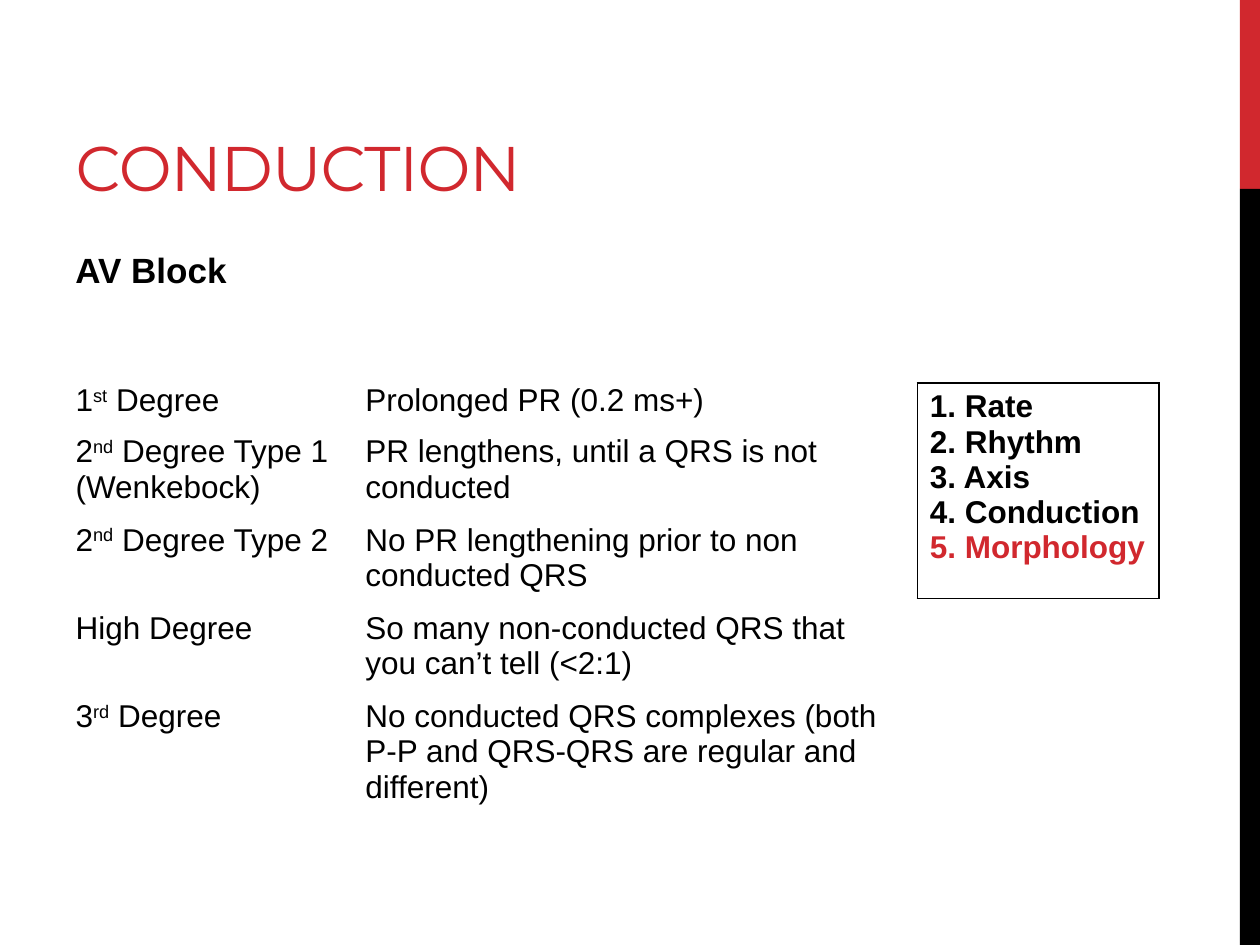
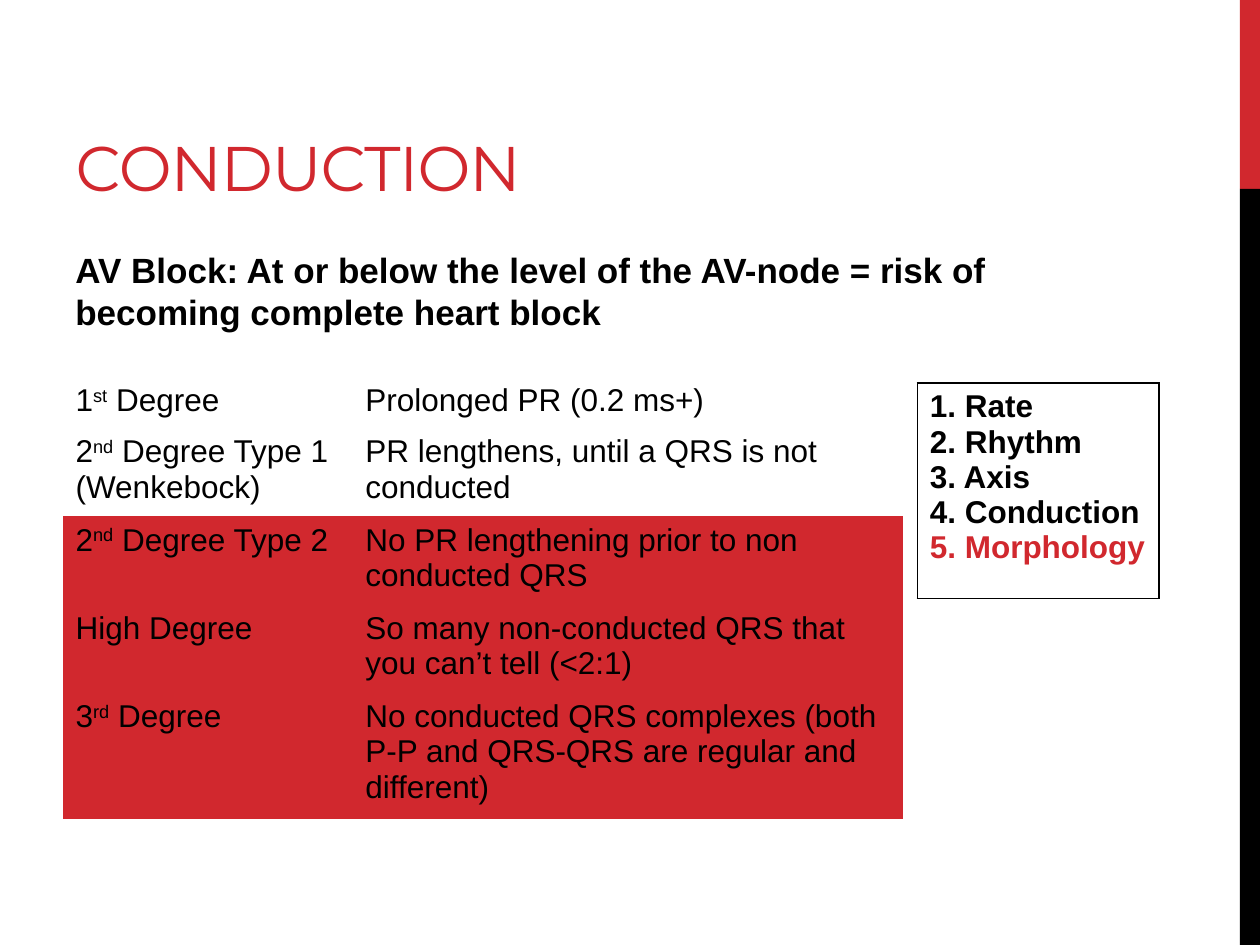
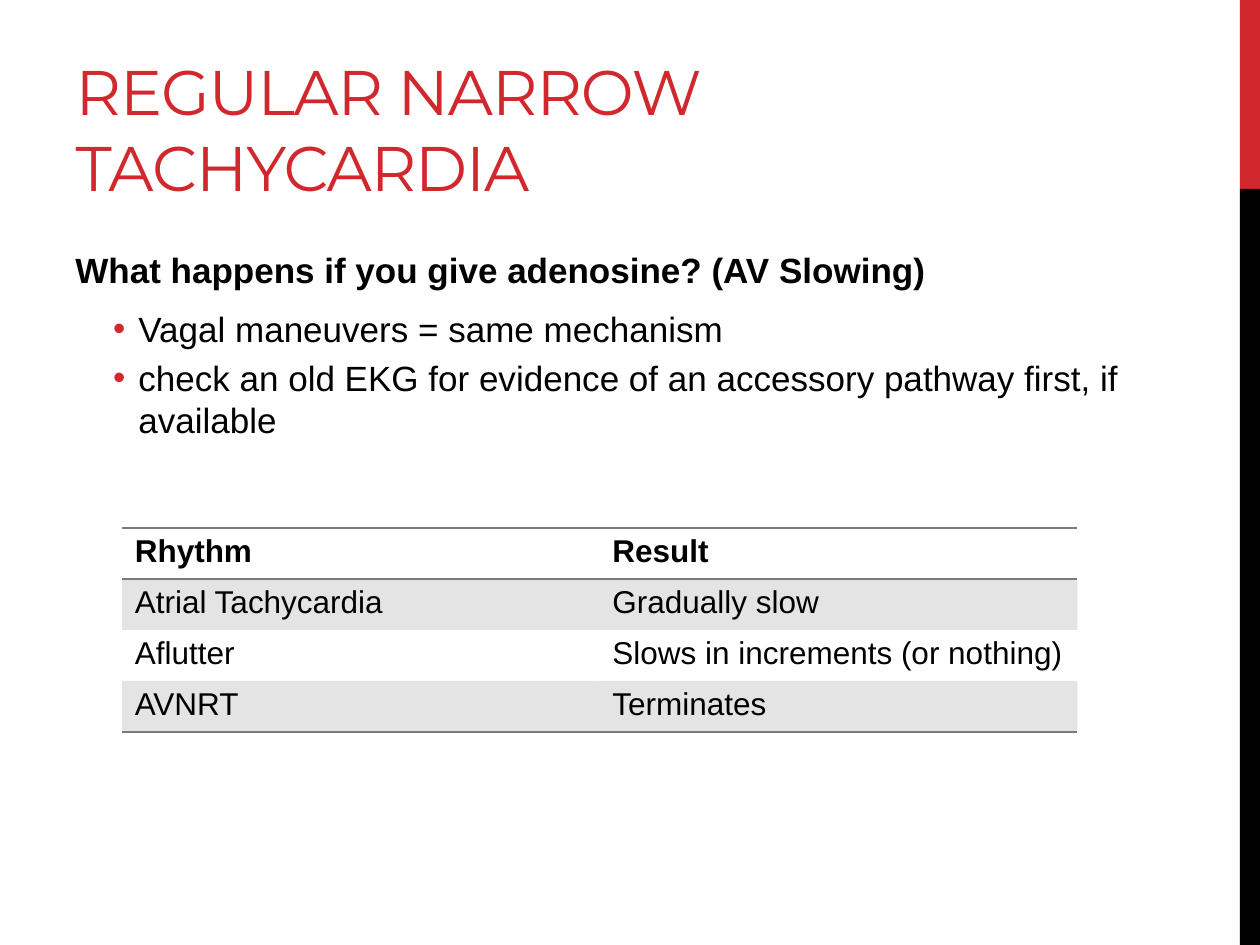
import pptx
import pptx.dml.color
import pptx.enum.shapes
import pptx.enum.text
import pptx.oxml.ns
import pptx.util
from lxml import etree

HUES = {"red": "D1282E", "black": "000000", "gray": "7A7A7A"}
WIDE, HIGH = pptx.util.Inches(10), pptx.util.Inches(7.5)
COL, ROW = WIDE / 100, HIGH / 100
PLAIN = "{2D5ABB26-0587-4C30-8999-92F81FD0307C}"
TITLE = (5, 2.27, 63.3, 20)
BANDS = [("red", (98.4, 0, 1.6, 20)), ("black", (98.4, 20, 1.6, 80))]
STEPS = ["1. Rate", "2. Rhythm", "3. Axis", "4. Conduction", "5. Morphology"]
BLOCKS = [
    ("1^st^ Degree", "Prolonged PR (0.2 ms+)"),
    ("2^nd^ Degree Type 1 (Wenkebock)", "PR lengthens, until a QRS is not conducted"),
    ("2^nd^ Degree Type 2", "No PR lengthening prior to non conducted QRS"),
    ("High Degree", "So many non-conducted QRS that you can’t tell (<2:1)"),
    ("3^rd^ Degree",
     "No conducted QRS complexes (both P-P and QRS-QRS are regular and different)"),
]
DRUG = [
    ("Rhythm", "Result"),
    ("Atrial Tachycardia", "Gradually slow"),
    ("Aflutter", "Slows in increments (or nothing)"),
    ("AVNRT", "Terminates"),
]


def place(box):
    return [round(part * unit) for part, unit in zip(box, (COL, ROW, COL, ROW))]


def hue(name):
    return pptx.dml.color.RGBColor.from_string(HUES[name])


def node(root, tag, **attrs):
    return etree.SubElement(root, pptx.oxml.ns.qn("a:" + tag), attrs)


def write(para, text, size=18, color="black", bold=False, face="Arial"):
    for index, part in enumerate(text.split("^")):
        run = para.add_run()
        run.text = part
        if index % 2:
            run._r.get_or_add_rPr().set("baseline", "30000")
    font = para.font
    font.name, font.size, font.bold = face, pptx.util.Pt(size), bold
    font.color.rgb = hue(color)


def start(deck, text):
    slide = deck.slides.add_slide(deck.slide_layouts[5])
    for color, box in BANDS:
        band = slide.shapes.add_shape(
            pptx.enum.shapes.MSO_SHAPE.RECTANGLE, *place(box))
        band.shadow.inherit = False
        band.fill.solid()
        band.fill.fore_color.rgb = hue(color)
        band.line.fill.background()
    title = slide.shapes.title
    title.left, title.top, title.width, title.height = place(TITLE)
    frame = title.text_frame
    frame.auto_size = pptx.enum.text.MSO_AUTO_SIZE.NONE
    frame.vertical_anchor = pptx.enum.text.MSO_ANCHOR.BOTTOM
    para = frame.paragraphs[0]
    para.alignment = pptx.enum.text.PP_ALIGN.LEFT
    write(para, text, 36, "red", face="Montserrat")
    para.runs[0]._r.get_or_add_rPr().set("spc", "-60")
    return slide


def bullet(para):
    props = para._p.get_or_add_pPr()
    props.set("marL", str(pptx.util.Inches(0.5)))
    props.set("indent", str(pptx.util.Inches(-0.2)))
    node(node(props, "buClr"), "srgbClr", val=HUES["red"])
    node(props, "buFont", typeface="Arial")
    node(props, "buChar", char="•")


def body(slide, box, head, points=()):
    frame = slide.shapes.add_textbox(*place(box)).text_frame
    frame.word_wrap = True
    for index, text in enumerate([head, *points]):
        para = frame.add_paragraph() if index else frame.paragraphs[0]
        if index:
            para.level = 1
            bullet(para)
            para.space_before = pptx.util.Pt(4)
        else:
            para.space_after = pptx.util.Pt(6)
        para.line_spacing = pptx.util.Pt(24)
        write(para, text, 20, bold=not index)


def grid(slide, box, widths, count):
    table = slide.shapes.add_table(count, len(widths), *place(box)).table
    table.first_row = table.horz_banding = False
    table._tbl.tblPr.find(pptx.oxml.ns.qn("a:tableStyleId")).text = PLAIN
    for col, width in zip(table.columns, widths):
        col.width = round(width * COL)
    for row in table.rows:
        row.height = round(box[3] * ROW / count)
    return table


def edge(cell, sides, color):
    props = cell._tc.get_or_add_tcPr()
    for side in sides:
        line = node(props, "ln" + side, w=str(pptx.util.Pt(1)))
        node(node(line, "solidFill"), "srgbClr", val=HUES[color])


def paint(cell, color=None, alpha=100):
    if not color:
        cell.fill.background()
        return
    cell.fill.solid()
    cell.fill.fore_color.rgb = hue(color)
    if alpha < 100:
        fill = cell._tc.tcPr.find(pptx.oxml.ns.qn("a:solidFill"))
        node(fill[0], "alpha", val=str(alpha * 1000))


def agenda(slide, box):
    cell = grid(slide, box, [box[2]], 1).cell(0, 0)
    edge(cell, "LRTB", "black")
    paint(cell)
    for index, step in enumerate(STEPS):
        para = cell.text_frame.add_paragraph() if index else cell.text_frame.paragraphs[0]
        write(para, step, color="red" if step == STEPS[-1] else "black", bold=True)


def blocks(slide, box, risky):
    table = grid(slide, box, [23, box[2] - 23], len(BLOCKS))
    for r, texts in enumerate(BLOCKS):
        for c, text in enumerate(texts):
            cell = table.cell(r, c)
            paint(cell, "red" if r in risky else None)
            write(cell.text_frame.paragraphs[0], text)


def results(slide, box):
    table = grid(slide, box, [box[2] / 2] * 2, len(DRUG))
    table.first_row = True
    lines = {0: "TB", len(DRUG) - 1: "B"}
    for r, texts in enumerate(DRUG):
        for c, text in enumerate(texts):
            cell = table.cell(r, c)
            edge(cell, lines.get(r, ""), "gray")
            paint(cell, "gray" if r % 2 else None, 20)
            write(cell.text_frame.paragraphs[0], text, bold=r == 0)


def conduct(deck, head, risky=()):
    slide = start(deck, "CONDUCTION")
    body(slide, (5, 25.6, 83.3, 63.73), head)
    agenda(slide, (72.8, 40.53, 19.2, 22.8))
    blocks(slide, (5, 39.87, 66.7, 27.1), risky)


def rhythm(deck):
    slide = start(deck, "REGULAR NARROW TACHYCARDIA")
    body(slide, (5, 25.6, 87.4, 63.73),
         "What happens if you give adenosine? (AV Slowing)",
         ["Vagal maneuvers = same mechanism",
          "check an old EKG for evidence of an accessory pathway first, if available"])
    results(slide, (9.7, 55.87, 75.8, 21.6))


def main():
    deck = pptx.Presentation()
    deck.slide_width, deck.slide_height = WIDE, HIGH
    conduct(deck, "AV Block")
    conduct(deck, "AV Block: At or below the level of the AV-node = risk of "
                  "becoming complete heart block", range(2, 5))
    rhythm(deck)
    deck.save("out.pptx")


if __name__ == "__main__":
    main()
